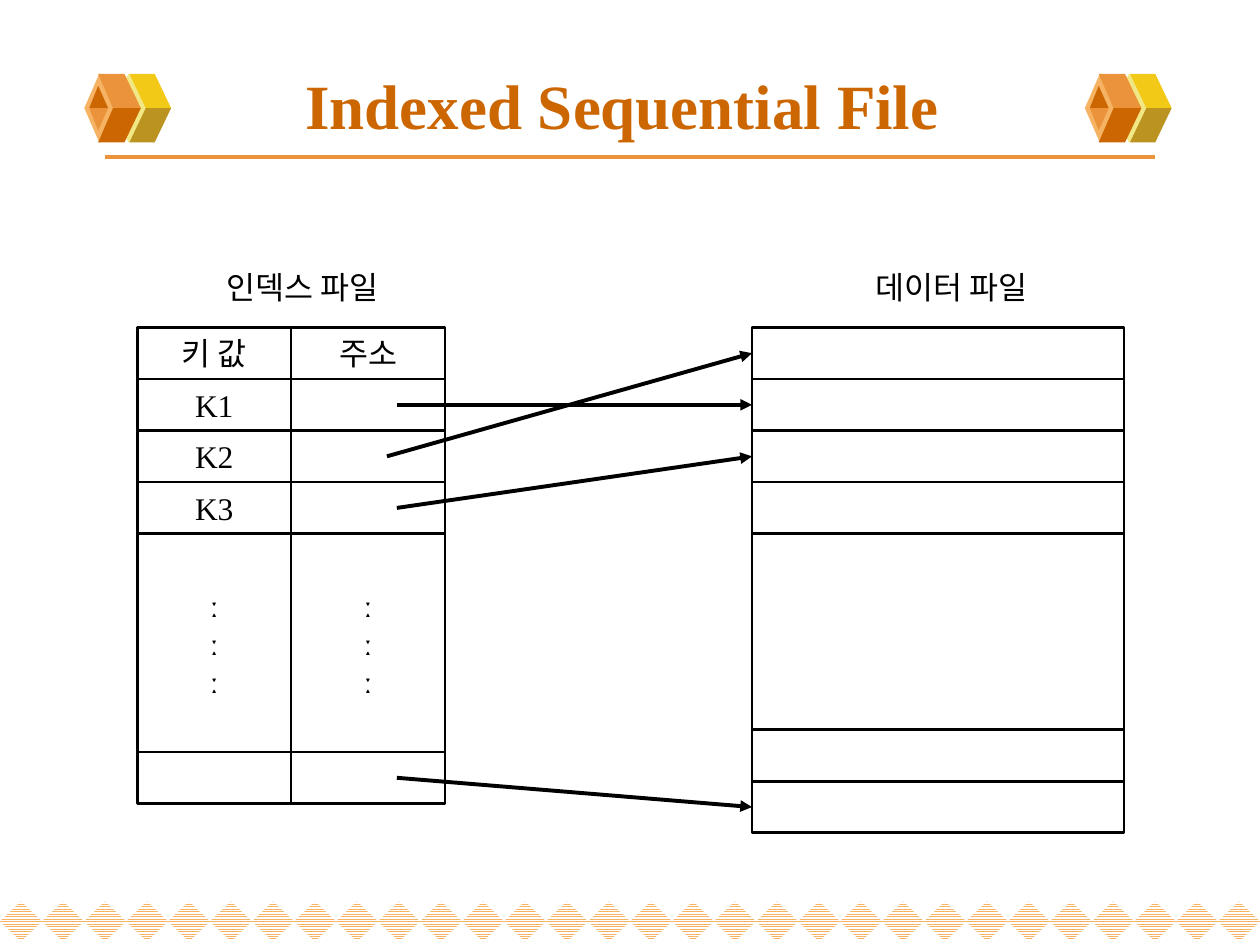
import pptx
import pptx.util
import pptx.dml.color
import pptx.enum.dml
import pptx.enum.shapes
import pptx.enum.text
import pptx.oxml
import pptx.oxml.ns
from lxml import etree

Cm = pptx.util.Cm
Pt = pptx.util.Pt
RGBColor = pptx.dml.color.RGBColor
SHAPE = pptx.enum.shapes.MSO_SHAPE
ALIGN = pptx.enum.text.PP_ALIGN
ANCHOR = pptx.enum.text.MSO_ANCHOR
qn = pptx.oxml.ns.qn

BLACK = RGBColor(0x00, 0x00, 0x00)
WHITE = RGBColor(0xFF, 0xFF, 0xFF)
RUST = RGBColor(0xCC, 0x66, 0x00)
ORANGE = RGBColor(0xEB, 0x93, 0x3B)
PEACH = RGBColor(0xF5, 0xB3, 0x63)
CREAM = RGBColor(0xF1, 0xE7, 0x85)
YELLOW = RGBColor(0xF3, 0xC9, 0x17)
OLIVE = RGBColor(0xBB, 0x93, 0x21)

SERIF = "Times New Roman"
SANS = "Noto Sans CJK KR"
ROW = 1.04


def write(frame, text, size, face, color, align, bold=False):
    frame.text = text
    for paragraph in frame.paragraphs:
        paragraph.alignment = align
        for run in paragraph.runs:
            run.font.size = Pt(size)
            run.font.name = face
            run.font.bold = bold
            run.font.color.rgb = color
            east_asian = etree.SubElement(run.font._element, qn("a:ea"))
            east_asian.set("typeface", SANS)


def add_preset(slide, kind, left, top, width, height):
    preset = slide.shapes.add_shape(kind, Cm(left), Cm(top), Cm(width), Cm(height))
    preset.shadow.inherit = False
    preset.line.fill.background()
    return preset


def add_line(slide, start, end, color):
    line = slide.shapes.add_connector(
        pptx.enum.shapes.MSO_CONNECTOR.STRAIGHT, *(Cm(v) for v in start + end))
    line.line.color.rgb = color
    line.line.width = Pt(2.25)
    etree.SubElement(line._element.spPr, qn("a:effectLst"))
    return line


def add_diamond_border(slide, left, top, width, height, count=30):
    step = width / count
    for column in range(count):
        diamond = add_preset(slide, SHAPE.DIAMOND, left + column * step, top, step, height)
        diamond.fill.patterned()
        diamond.fill.pattern = pptx.enum.dml.MSO_PATTERN.NARROW_HORIZONTAL
        diamond.fill.fore_color.rgb = PEACH
        diamond.fill.back_color.rgb = WHITE


def add_cube(slide, left, top, height):
    middle = height / 2

    def add_diamond(offset, width, color):
        diamond = add_preset(slide, SHAPE.DIAMOND, left + offset, top, width, height)
        diamond.fill.solid()
        diamond.fill.fore_color.rgb = color

    def add_facets(outline, upper, lower):
        for side, color in ((-1, upper), (1, lower)):
            points = [(Cm(left + x), Cm(top + middle + side * rise)) for x, rise in outline]
            builder = slide.shapes.build_freeform(*points[0])
            builder.add_line_segments(points[1:], close=True)
            facet = builder.convert_to_shape()
            facet.shadow.inherit = False
            facet.line.fill.background()
            facet.fill.solid()
            facet.fill.fore_color.rgb = color

    add_diamond(0.48, 0.84, CREAM)
    add_facets([(1.24, 0), (1.75, 0), (1.42, 0.69), (0.91, 0.69)], YELLOW, OLIVE)
    add_diamond(0, 0.61, PEACH)
    add_facets([(0.58, 0), (1.14, 0), (0.81, 0.69), (0.28, 0.69)], ORANGE, RUST)
    add_facets([(0.28, 0.45), (0.1, 0), (0.48, 0)], RUST, ORANGE)


def add_header(slide, left, top, width, height):
    add_line(slide, (left + 0.84, top + 2.03), (left + width - 0.84, top + 2.03), ORANGE)
    for offset in (0.43, 20.6):
        add_cube(slide, left + offset, top + 0.34, 1.4)
    title = slide.shapes.add_textbox(Cm(left), Cm(top), Cm(width), Cm(height)).text_frame
    title.word_wrap = True
    title.vertical_anchor = ANCHOR.MIDDLE
    write(title, "Indexed Sequential File ", 36, SERIF, RUST, ALIGN.CENTER, True)


def add_file(slide, left, top, width, heading, heading_offset, rows, heights):
    label = slide.shapes.add_textbox(
        Cm(left + heading_offset), Cm(top - 1.32), Cm(3.94), Cm(1.32)).text_frame
    label.word_wrap = False
    write(label, heading, 18, SANS, BLACK, ALIGN.LEFT)
    grid = []
    for row, height in zip(rows, heights):
        cell_width = width / len(row)
        cells = []
        for column, text in enumerate(row):
            cell = add_preset(slide, SHAPE.RECTANGLE, left + column * cell_width, top,
                              cell_width, height)
            cell.fill.solid()
            cell.fill.fore_color.rgb = WHITE
            cell.line.color.rgb = BLACK
            cell.line.width = Pt(1.5)
            if text:
                cell.text_frame.vertical_anchor = ANCHOR.MIDDLE
                write(cell.text_frame, text, 18, SERIF, BLACK, ALIGN.CENTER)
            cells.append(cell)
        grid.append(cells)
        top += height
    return grid


def add_pointer(slide, address, record, inset):
    start = address.left.cm + inset, address.top.cm + address.height.cm / 2
    end = record.left.cm, record.top.cm + record.height.cm / 2
    pointer = add_line(slide, start, end, BLACK)
    pointer.end_connect(record, 1)
    etree.SubElement(pointer.line._get_or_add_ln(), qn("a:tailEnd")).set("type", "triangle")


def add_diagram(slide, left, top):
    dots = "ː\nː\nː"
    index_rows = [("키 값", "주소"), ("K1", ""), ("K2", ""), ("K3", ""), (dots, dots), ("", "")]
    index = add_file(slide, left, top, 6.2, "인덱스 파일", 1.55,
                     index_rows, [ROW] * 4 + [4.4, ROW])
    data = add_file(slide, left + 12.39, top, 7.5, "데이터 파일", 2.24,
                    [("",)] * 7, [ROW] * 4 + [3.95, ROW, ROW])
    for source, target, inset in ((1, 1, 2.13), (2, 0, 1.93), (3, 2, 2.13), (5, 6, 2.13)):
        add_pointer(slide, index[source][1], data[target][0], inset)


def main():
    deck = pptx.Presentation()
    deck.slide_width, deck.slide_height = Cm(25.4), Cm(19.05)
    slide = deck.slides.add_slide(deck.slide_layouts[6])
    add_diamond_border(slide, 0, 18.17, 25.4, 0.81)
    add_header(slide, 1.27, 1.14, 22.86, 1.93)
    add_diagram(slide, 2.77, 6.6)
    deck.save("out.pptx")


if __name__ == "__main__":
    main()
